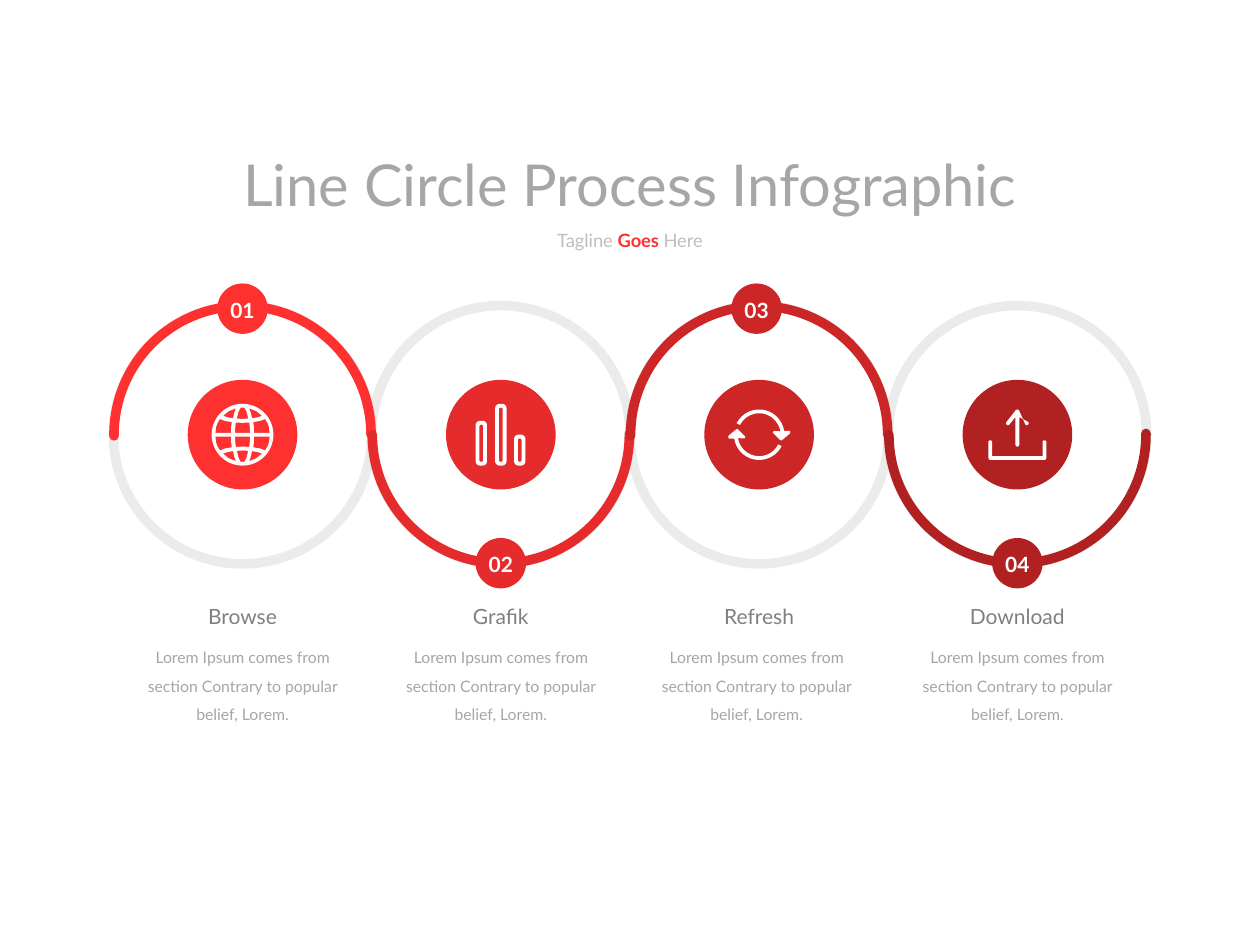
from math import cos, radians, sin

from lxml.etree import SubElement
from pptx import Presentation
from pptx.dml.color import RGBColor
from pptx.enum.shapes import MSO_SHAPE
from pptx.enum.text import MSO_ANCHOR, MSO_AUTO_SIZE, PP_ALIGN
from pptx.oxml.ns import qn
from pptx.util import Inches, Pt

WIDE, HIGH = 10, 7.5
PITCH = 2.05
MID = 3.45
FONT = "Lato"
WHITE = "FFFFFF"
BODY = "Lorem Ipsum comes from section Contrary to popular belief, Lorem."


def tint(color, code):
    """Set a colour format from a hex string."""
    color.rgb = RGBColor.from_string(code)


def column(i):
    """Return the centre of a column."""
    return WIDE / 2 + PITCH * (i - 1.5)


def preset(host, kind, x, y, size, fill=None, line=None):
    """Add a square preset shape around a centre."""
    shape = host.add_shape(kind, Inches(x - size / 2), Inches(y - size / 2),
                           Inches(size), Inches(size))
    shape.shadow.inherit = False
    if fill:
        shape.fill.solid()
        tint(shape.fill.fore_color, fill)
    else:
        shape.fill.background()
    if line:
        tint(shape.line.color, line)
        shape.line.width = Pt(5.5)
    else:
        shape.line.fill.background()
    return shape


def style(run, size, code, bold=False):
    """Format a run."""
    run.font.name = FONT
    run.font.size = Pt(size)
    run.font.bold = bold
    tint(run.font.color, code)


def label(host, x, y, w, h, text, size, code, wrap=False, space=None):
    """Add a centred text box and return its paragraph."""
    box = host.add_textbox(Inches(x - w / 2), Inches(y), Inches(w), Inches(h))
    frame = box.text_frame
    frame.word_wrap = wrap
    frame.auto_size = MSO_AUTO_SIZE.SHAPE_TO_FIT_TEXT
    frame.text = text
    para = frame.paragraphs[0]
    para.alignment = PP_ALIGN.CENTER
    para.line_spacing = space
    style(para.runs[0], size, code)
    return para


def ring(host, x):
    """Add a pale full ring."""
    shape = preset(host, MSO_SHAPE.OVAL, x, MID, PITCH, line="BFBFBF")
    code = shape.line.fill._xPr.find(".//" + qn("a:srgbClr"))
    SubElement(code, qn("a:alpha")).set("val", "30000")


def sweep(host, x, code, turn):
    """Add a half ring with round ends."""
    shape = preset(host, MSO_SHAPE.ARC, x, MID, 2.04, line=code)
    shape.adjustments[0] = 107.662
    shape.adjustments[1] = 0
    shape.rotation = turn
    shape.line.fill._xPr.set("cap", "rnd")


def badge(host, x, y, text, code):
    """Add a small numbered disc."""
    shape = preset(host, MSO_SHAPE.OVAL, x, y, 0.4, fill=code)
    frame = shape.text_frame
    frame.margin_left = frame.margin_right = 0
    frame.margin_top, frame.margin_bottom = Inches(0.02), 0
    frame.vertical_anchor = MSO_ANCHOR.MIDDLE
    frame.word_wrap = False
    frame.text = text
    frame.paragraphs[0].alignment = PP_ALIGN.CENTER
    style(frame.paragraphs[0].runs[0], 12, WHITE, True)


def icon(host, x, y, loops):
    """Add a white outline made of closed loops around a centre."""
    paths = [[(Inches(x + a), Inches(y + b)) for a, b in loop] for loop in loops]
    pen = host.build_freeform(*paths[0][0], scale=1.0)
    pen.add_line_segments(paths[0][1:], close=True)
    for path in paths[1:]:
        pen.move_to(*path[0])
        pen.add_line_segments(path[1:], close=True)
    shape = pen.convert_to_shape()
    shape.shadow.inherit = False
    shape.fill.solid()
    tint(shape.fill.fore_color, WHITE)
    shape.line.fill.background()


def curve(r, start, end, steps=24, x=0, y=0):
    """Return points along a round arc, angles in degrees."""
    turns = [radians(start + (end - start) * n / steps) for n in range(steps + 1)]
    return [(x + r * cos(t), y + r * sin(t)) for t in turns]


def flip(loop, h, v):
    """Scale a loop by a sign on each axis."""
    return [(a * h, b * v) for a, b in loop]


def globe():
    """Return the loops of a globe."""
    side = [(0.09, -0.015), (0.215, -0.015), (0.21, -0.06), (0.2, -0.09),
            (0.18, -0.125), (0.14, -0.11), (0.085, -0.1), (0.09, -0.06)]
    edge = [(0.155, -0.15), (0.12, -0.138), (0.075, -0.13), (0.067, -0.17),
            (0.052, -0.21), (0.11, -0.187)]
    core = [(-0.06, -0.015), (-0.058, -0.06), (-0.053, -0.097), (0, -0.094),
            (0.053, -0.097), (0.058, -0.06), (0.06, -0.015)]
    cap = [(-0.015, -0.215), (0.015, -0.215), (0.033, -0.18), (0.045, -0.128),
           (0, -0.125), (-0.045, -0.128), (-0.033, -0.18)]
    cells = [flip(loop, h, v) for loop in (side, edge) for h in (1, -1) for v in (1, -1)]
    cells += [flip(loop, 1, v) for loop in (core, cap) for v in (1, -1)]
    return [curve(0.245, 0, 360, 72)] + cells


def pill(x, top, foot, w, r):
    """Return an upright bar with round corners."""
    half = w / 2 - r
    spots = [(x + half, foot - r), (x - half, foot - r),
             (x - half, top + r), (x + half, top + r)]
    return [p for n, (a, b) in enumerate(spots)
            for p in curve(r, 90 * n, 90 * n + 90, 6, a, b)]


def bars():
    """Return the loops of three hollow bars."""
    loops = []
    for x, top in ((-0.155, -0.11), (0, -0.245), (0.15, 0)):
        loops += [pill(x, top, 0.245, 0.09, 0.035),
                  pill(x, top + 0.03, 0.215, 0.03, 0.014)]
    return loops


def cycle():
    """Return the loops of two chasing arrows."""
    arrow = curve(0.2, -9, -153) + curve(0.17, -153, -9)
    arrow += [(0.115, -0.03), (0.11, -0.015), (0.165, 0.04), (0.175, 0.046),
              (0.185, 0.04), (0.245, -0.01), (0.245, -0.03)]
    return [arrow, flip(arrow, -1, -1)]


def tray():
    """Return the loops of a tray and a rising arrow."""
    half = curve(0.015, 180, 360, 8, 0.215, 0.06)
    half += [(0.23, 0.185), (0.225, 0.197), (0.215, 0.2)]
    inner = [(0.2, 0.17), (-0.2, 0.17)]
    left = flip(half, -1, 1)
    base = half + left[::-1] + inner[::-1]
    head = curve(0.015, 220, 40, 8, -0.075, -0.09)[::-1]
    stem = curve(0.015, 180, 0, 8, 0, 0.08)
    wing = flip(head, -1, 1)[::-1]
    return [base, [(0, -0.2), (-0.012, -0.195)] + head[::-1] + [(-0.015, -0.14)]
            + stem + [(0.015, -0.14)] + wing + [(0.012, -0.195)]]


def main():
    """Build the slide."""
    deck = Presentation()
    deck.slide_width, deck.slide_height = Inches(WIDE), Inches(HIGH)
    host = deck.slides.add_slide(deck.slide_layouts[6]).shapes
    label(host, WIDE / 2, 1.13, 6.66, 0.66, "Line Circle Process Infographic", 33, "A6A6A6")
    tag = label(host, WIDE / 2, 1.77, 1.4, 0.28, "Tagline ", 10.5, "BFBFBF")
    for text, code, bold in (("Goes ", "FF3030", True), ("Here", "BFBFBF", False)):
        run = tag.add_run()
        run.text = text
        style(run, 10.5, code, bold)

    steps = [("Browse", "FF3030", globe, 0.76, 0),
             ("Grafik", "E52B2B", bars, 0.66, 0),
             ("Refresh", "CC2626", cycle, 0.78, -0.02),
             ("Download", "B22121", tray, 0.96, 0)]
    for i in range(len(steps)):
        ring(host, column(i))
    for i, (name, code, *rest) in enumerate(steps):
        sweep(host, column(i), code, 180 * (i % 2))
    for i, (name, code, draw, w, shift) in enumerate(steps):
        x = column(i)
        group = host.add_group_shape().shapes
        preset(group, MSO_SHAPE.OVAL, x, MID, 0.87, fill=code)
        icon(group, x, MID, draw())
        label(host, x, 4.74, w, 0.3, name, 12, "808080")
        label(host, x + shift, 5.02, 1.74, 0.78, BODY, 9, "A6A6A6", True, 1.5)
        badge(host, x + shift, 4.47 if i % 2 else 2.45, f"{i + 1:02}", code)
    deck.save("out.pptx")


if __name__ == "__main__":
    main()
